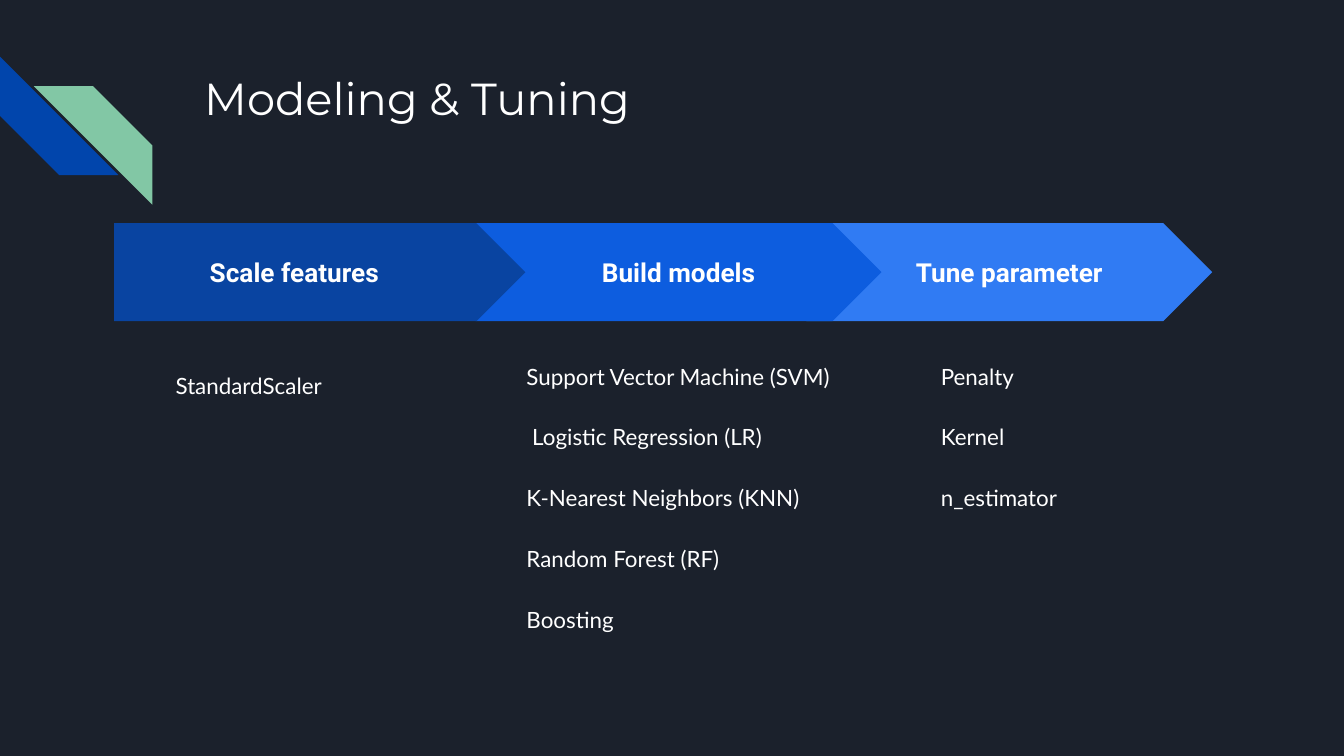
from dataclasses import dataclass
from pptx import Presentation
from pptx.dml.color import RGBColor as RGB
from pptx.enum.shapes import MSO_SHAPE as Kind
from pptx.enum.text import MSO_ANCHOR as Anchor, MSO_AUTO_SIZE as Fit, PP_ALIGN as Align
from pptx.util import Cm, Pt
from lxml.etree import SubElement

# Content
TITLE = "Modeling & Tuning"
MODELS = ["Support Vector Machine (SVM)", " Logistic Regression (LR)",
          "K-Nearest Neighbors (KNN)", "Random Forest (RF)", "Boosting"]
PARAMS = ["Penalty", "Kernel", "n_estimator"]
SCALERS = ["StandardScaler"]
FIRST = "Scale features"


@dataclass(frozen=True)
class Theme:
    back: str = "1B212C"
    ink: str = "FFFFFF"
    navy: str = "0145AC"
    mint: str = "82C7A5"
    steps: tuple = ("0944A1", "0D5DDF", "307BF3")
    head: tuple = ("Montserrat", 24, False)
    step: tuple = ("Roboto", 14, True)
    item: tuple = ("Lato", 12, False)


T = Theme()

# Places in cm: left, top, width, height
TOP, TALL = 4.22, 1.85
LIST = 6.53
STEPS = [  # left, width, kind, text
    (2.16, 7.77, Kind.PENTAGON, ""),
    (8.99, 7.67, Kind.CHEVRON, "Build models"),
    (15.24, 7.67, Kind.CHEVRON, "Tune parameter"),
]
STRIPES = [(0, 1.07, 270, T.navy), (0.64, 1.63, 90, T.mint)]
SIDE = 2.24


def place(shape, box):
    shape.left, shape.top, shape.width, shape.height = map(Cm, box)


def write(shape, lines, style, align=Align.LEFT, anchor=Anchor.TOP, lead=1.0, gap=0):
    frame = shape.text_frame
    frame.word_wrap, frame.auto_size = True, Fit.NONE
    frame.vertical_anchor = anchor
    frame.margin_left = frame.margin_right = Cm(0.25)
    frame.margin_top = frame.margin_bottom = Cm(0.25)
    frame.text = "\n".join(lines)
    for i, para in enumerate(frame.paragraphs):
        para.alignment, para.line_spacing = align, lead
        para.space_before = Pt(gap if i else 0)
        font = para.font
        font.name, font.bold = style[0], style[2]
        font.size = Pt(style[1])
        font.color.rgb = RGB.from_string(T.ink)


def plain(shape):
    """Drop the bullets and indents of a list placeholder."""
    for para in shape.text_frame.paragraphs:
        props = para._p.get_or_add_pPr()
        props.set("marL", "0")
        props.set("indent", "0")
        SubElement(props, "{http://schemas.openxmlformats.org/drawingml/2006/main}buNone")


def draw(slide, kind, box, fill):
    shape = slide.shapes.add_shape(kind, *map(Cm, box))
    shape.shadow.inherit = False
    shape.fill.solid()
    shape.fill.fore_color.rgb = RGB.from_string(fill)
    shape.line.fill.background()
    shape.adjustments[0] = 0.5
    return shape


def label(slide, box, lines, style, **look):
    write(slide.shapes.add_textbox(*map(Cm, box)), lines, style, **look)


def main():
    deck = Presentation()
    deck.slide_width, deck.slide_height = Cm(25.4), Cm(14.29)
    slide = deck.slides.add_slide(deck.slide_layouts[3])
    slide.background.fill.solid()
    slide.background.fill.fore_color.rgb = RGB.from_string(T.back)

    # Corner stripes
    for left, top, turn, fill in STRIPES:
        draw(slide, Kind.DIAGONAL_STRIPE, (left, top, SIDE, SIDE), fill).rotation = turn

    # Title and lists
    title, *lists = slide.placeholders
    place(title, (3.61, 1.09, 19.56, 2.54))
    write(title, [TITLE], T.head)
    for body, left, lines in zip(lists, (9.7, 17.53), (MODELS, PARAMS)):
        place(body, (left, LIST, 7.37, 8.08))
        write(body, lines, T.item, lead=1.15, gap=16)
        plain(body)

    # Arrow band, last step first so that earlier tips lie on top
    for (left, wide, kind, text), fill in reversed(list(zip(STEPS, T.steps))):
        step = draw(slide, kind, (left, TOP, wide, TALL), fill)
        if text:
            write(step, [text], T.step, Align.CENTER, Anchor.MIDDLE)

    # First step's label and list
    label(slide, (2.82, 4.5, 5.49, 1.7), [FIRST], T.step, align=Align.CENTER, lead=1.15)
    label(slide, (3.07, LIST, 4.14, 2.79), SCALERS, T.item, lead=1.5)

    deck.save("out.pptx")


if __name__ == "__main__":
    main()
